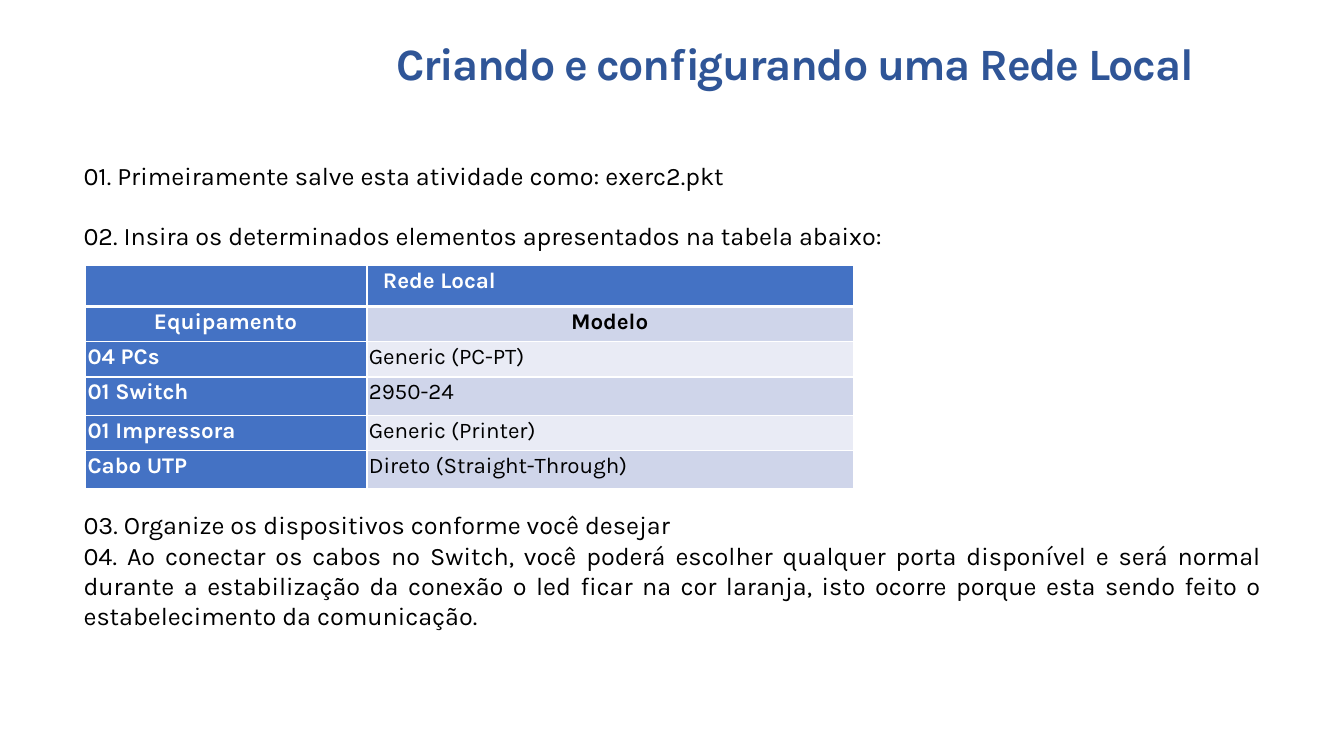
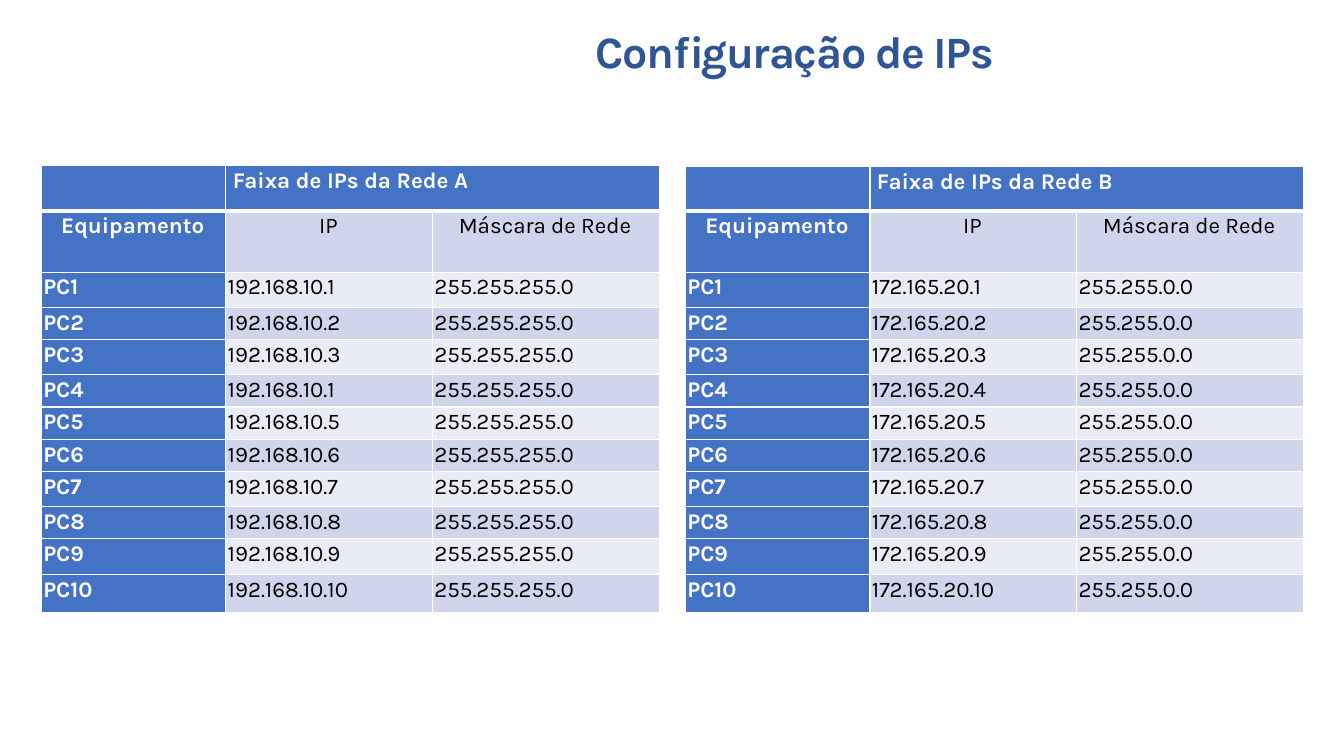
from lxml import etree
from pptx import Presentation
from pptx.dml.color import RGBColor
from pptx.enum.text import MSO_ANCHOR, MSO_AUTO_SIZE, PP_ALIGN
from pptx.oxml.ns import qn
from pptx.util import Pt

LEFT, CENTER, JUSTIFY = PP_ALIGN.LEFT, PP_ALIGN.CENTER, PP_ALIGN.JUSTIFY
TOP = MSO_ANCHOR.TOP
NO_AUTOFIT = MSO_AUTO_SIZE.NONE
TITLE_ONLY = 5

COLORS = {
    "title": "2F5597",
    "header": "4472C4",
    "dark_band": "CFD5EA",
    "light_band": "E9EBF5",
    "white": "FFFFFF",
    "black": "000000",
}
FONT = "Karla"
TITLE_FRAME = {
    "word_wrap": True, "auto_size": NO_AUTOFIT, "vertical_anchor": TOP,
    "margin_left": 0, "margin_right": 0, "margin_top": Pt(1), "margin_bottom": 0,
}
CELL_MARGINS = {
    "margin_left": Pt(1.4), "margin_right": Pt(5.8),
    "margin_top": Pt(0.4), "margin_bottom": 0, "vertical_anchor": TOP,
}
HANGING = 0.7

NETWORK_ROWS = [
    ["", "Rede Local"],
    ["Equipamento", "Modelo"],
    ["04 PCs", "Generic (PC-PT)"],
    ["01 Switch", "2950-24"],
    ["01 Impressora", "Generic (Printer)"],
    ["Cabo UTP", "Direto (Straight-Through)"],
]
NETWORK_HEIGHTS = [29.5, 25.2, 25.2, 27.4, 25.2, 27.4]
# Each step has the space before it in points.
STEPS = [
    ("01. Primeiramente salve esta atividade como: exerc2.pkt", 0),
    ("02. Insira os determinados elementos apresentados na tabela abaixo:", 21.5),
    ("03. Organize os dispositivos conforme você desejar", 185),
    ("04. Ao conectar os cabos no Switch, você poderá escolher qualquer porta "
     "disponível e será normal durante a estabilização da conexão o led ficar na "
     "cor laranja, isto ocorre porque esta sendo feito o estabelecimento da "
     "comunicação.", 0),
]
IP_WIDTHS = [131.8, 147.6, 162]
IP_HEIGHTS = [43.9, 25.2, 23, 25.2, 23, 23, 23, 25.2, 23, 25.2, 27.4]
IP_HEADER_BOTTOM = 150.5
# Name, left, top, address prefix, last octets, mask
NETWORKS = [
    ("A", 29.5, 118.1, "192.168.10", [1, 2, 3, 1, 5, 6, 7, 8, 9, 10], "255.255.255.0"),
    ("B", 489.6, 118.8, "172.165.20", range(1, 11), "255.255.0.0"),
]


def apply_format(target, values):
    for name, value in values.items():
        setattr(target, name, value)


def add_span(para, text, size, color, bold=False):
    span = para.add_run()
    span.text = text
    apply_format(span.font, {"name": FONT, "size": Pt(size), "bold": bold})
    span.font.color.rgb = RGBColor.from_string(COLORS[color])
    return span


def add_page(deck, title, top, height):
    page = deck.slides.add_slide(deck.slide_layouts[TITLE_ONLY])
    box = page.shapes.title
    apply_format(box, {"left": Pt(229), "top": Pt(top),
                       "width": Pt(677.5), "height": Pt(height)})
    apply_format(box.text_frame, TITLE_FRAME)
    para = box.text_frame.paragraphs[0]
    apply_format(para, {"alignment": CENTER, "line_spacing": 0.9})
    span = add_span(para, title, 32, "title", True)
    span.font._element.set("spc", "-100")
    return page


def add_steps(page, steps):
    box = page.shapes.add_textbox(Pt(52.6), Pt(110.9), Pt(855.4), Pt(356.4))
    box.text_frame.word_wrap = True
    for index, (text, space) in enumerate(steps):
        para = box.text_frame.add_paragraph() if index else box.text_frame.paragraphs[0]
        apply_format(para, {"alignment": JUSTIFY, "space_before": Pt(space)})
        add_span(para, text, 18, "black")


def add_borders(cell, row):
    """Draw white borders, thick between the first two rows."""
    properties = cell._tc.get_or_add_tcPr()
    widths = {"lnL": 1, "lnR": 1, "lnT": 3 if row == 1 else 1, "lnB": 3 if row == 0 else 1}
    for side, width in widths.items():
        line = etree.SubElement(properties, qn(f"a:{side}"), w=str(Pt(width)))
        fill = etree.SubElement(line, qn("a:solidFill"))
        etree.SubElement(fill, qn("a:srgbClr"), val=COLORS["white"])


def fill_cell(cell, text, row, column, header_indent, bold_labels):
    is_header = row == 0 or column == 0
    add_borders(cell, row)
    band = "header" if is_header else "dark_band" if row % 2 else "light_band"
    cell.fill.solid()
    cell.fill.fore_color.rgb = RGBColor.from_string(COLORS[band])
    apply_format(cell, CELL_MARGINS)
    para = cell.text_frame.paragraphs[0]
    if not text:
        para.font.size = Pt(16)
        return
    apply_format(para, {"alignment": CENTER if row == 1 else LEFT, "line_spacing": 1.07})
    indent = {0: header_indent, 1: 4}.get(row, HANGING)
    properties = para._p.get_or_add_pPr()
    properties.set("marL", str(Pt(indent)))
    properties.set("indent", str(-Pt(HANGING)))
    bold = is_header or (row == 1 and bold_labels)
    add_span(para, text, 16, "white" if is_header else "black", bold)


def add_grid(page, left, top, widths, heights, rows, header_indent, bold_labels=False):
    """Add a table whose top header spans every column after the first."""
    frame = page.shapes.add_table(len(rows), len(widths), Pt(left), Pt(top),
                                  Pt(sum(widths)), Pt(sum(heights)))
    table = frame.table
    apply_format(table, {"first_row": False, "horz_banding": False})
    for column, width in zip(table.columns, widths):
        column.width = Pt(width)
    for line, height in zip(table.rows, heights):
        line.height = Pt(height)
    for row, texts in enumerate(rows):
        for column, text in enumerate(texts):
            fill_cell(table.cell(row, column), text, row, column,
                      header_indent, bold_labels)
    if len(widths) > 2:
        table.cell(0, 1).merge(table.cell(0, len(widths) - 1))


def add_ip_table(page, name, left, top, prefix, octets, mask):
    rows = [["", f"Faixa de IPs da Rede {name}", ""],
            ["Equipamento", "IP", "Máscara de Rede"]]
    rows += [[f"PC{number}", f"{prefix}.{octet}", mask]
             for number, octet in enumerate(octets, 1)]
    heights = [IP_HEADER_BOTTOM - top] + IP_HEIGHTS
    add_grid(page, left, top, IP_WIDTHS, heights, rows, 4.3)


def main():
    deck = Presentation()
    apply_format(deck, {"slide_width": Pt(960), "slide_height": Pt(540)})

    page = add_page(deck, "Criando e configurando uma Rede Local", 28.8, 33.8)
    add_steps(page, STEPS)
    add_grid(page, 61.2, 189.4, [200.9, 347.8], NETWORK_HEIGHTS, NETWORK_ROWS, 10.8, True)

    page = add_page(deck, "Configuração de IPs", 20.2, 42.5)
    for network in NETWORKS:
        add_ip_table(page, *network)

    deck.save("out.pptx")


if __name__ == "__main__":
    main()
